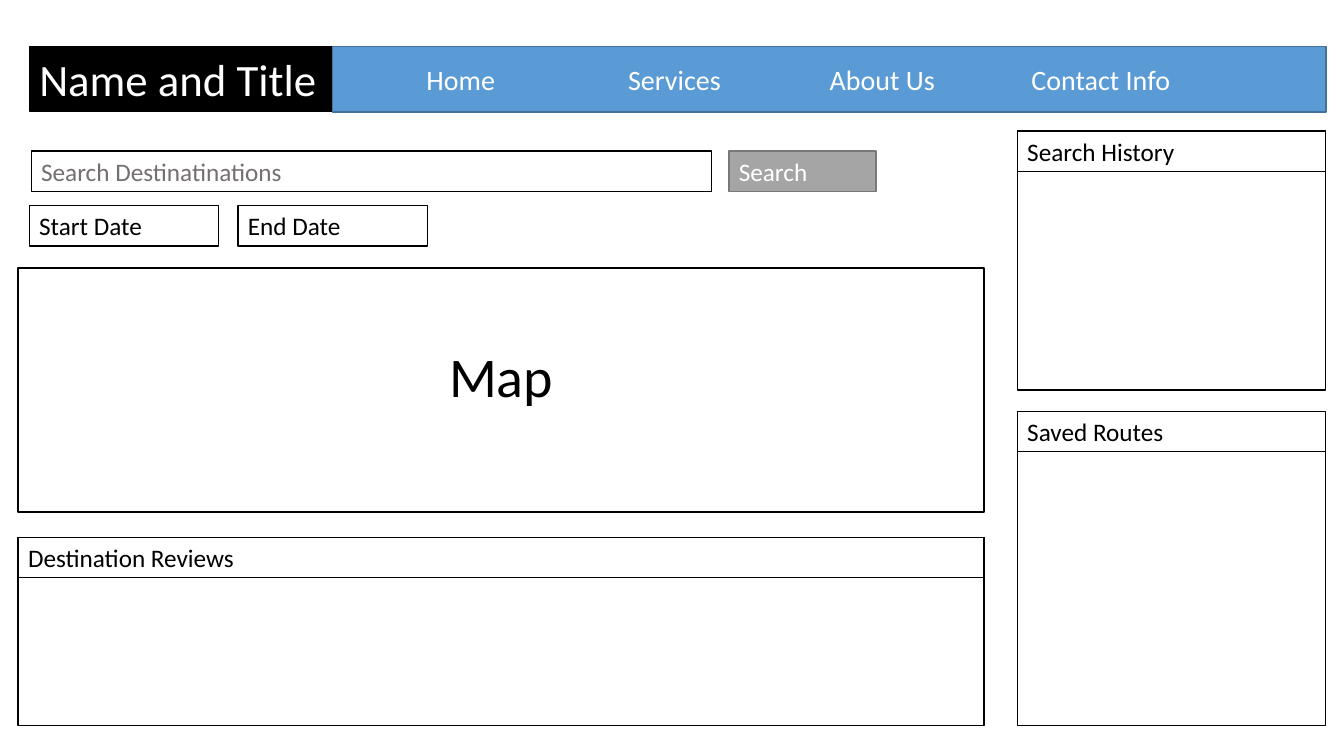
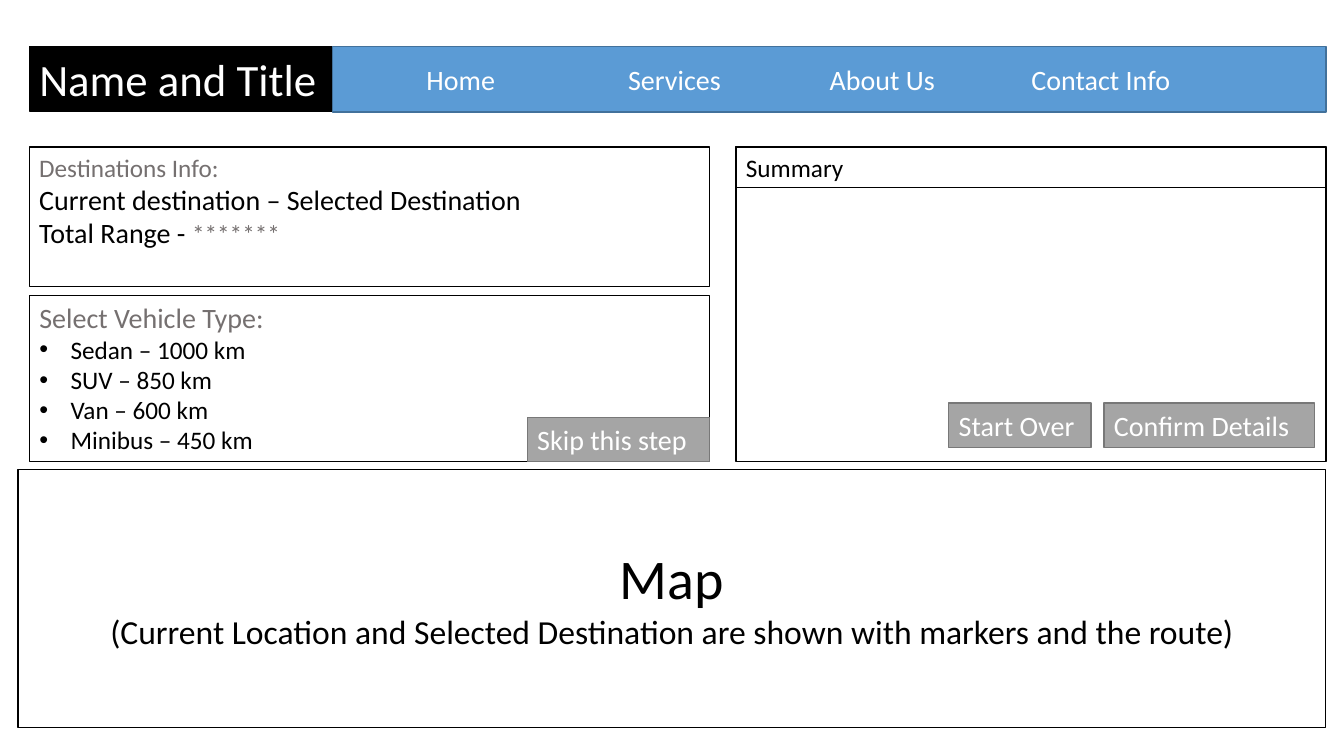
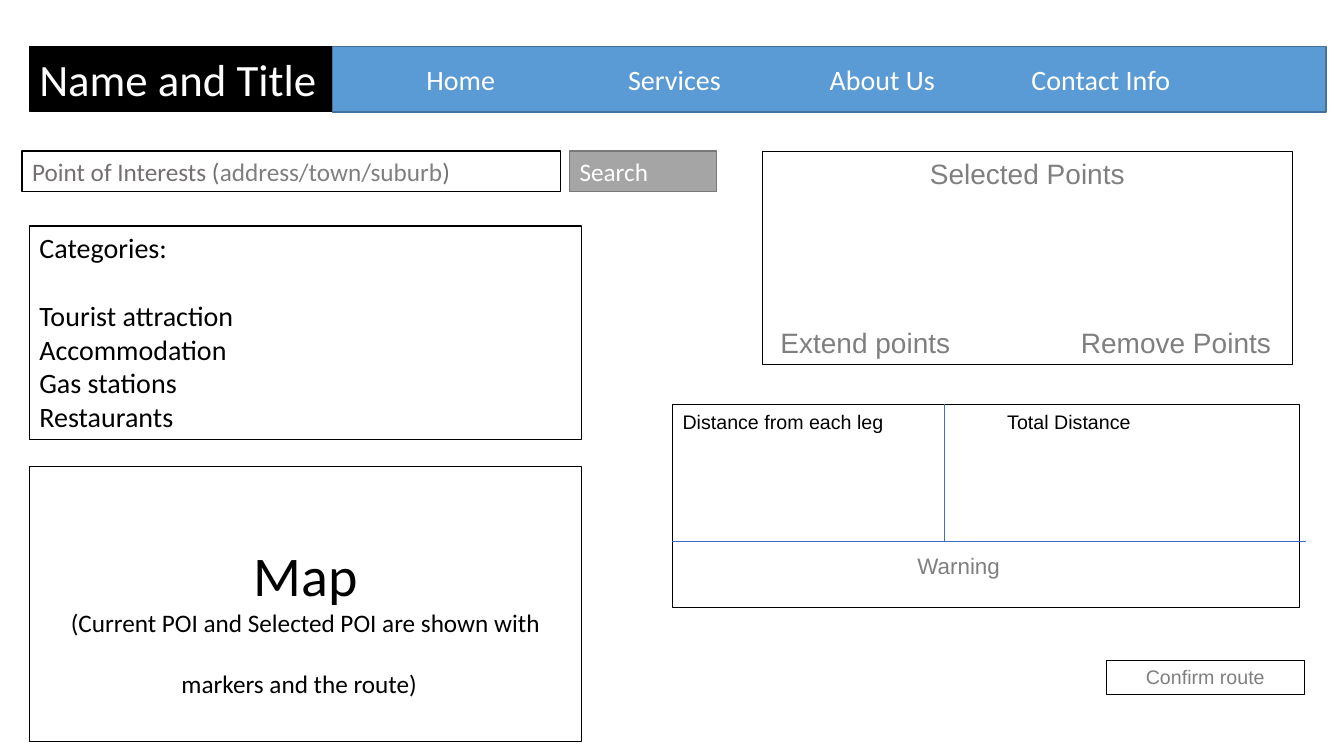
from dataclasses import dataclass

from lxml import etree
from pptx import Presentation
from pptx.dml.color import RGBColor
from pptx.enum.shapes import MSO_CONNECTOR, MSO_SHAPE
from pptx.enum.text import MSO_ANCHOR, MSO_AUTO_SIZE, PP_ALIGN
from pptx.oxml.ns import qn
from pptx.util import Inches, Pt

RECT = MSO_SHAPE.RECTANGLE
STRAIGHT = MSO_CONNECTOR.STRAIGHT
TOP, MIDDLE = MSO_ANCHOR.TOP, MSO_ANCHOR.MIDDLE
LEFT, CENTER = PP_ALIGN.LEFT, PP_ALIGN.CENTER
NO_AUTOFIT = MSO_AUTO_SIZE.NONE
TITLE_AND_BODY, TITLE_ONLY = 1, 5


@dataclass(frozen=True)
class Theme:
    """Colours, fonts, type sizes and line widths of the deck."""
    black: str = "000000"
    white: str = "FFFFFF"
    hint: str = "757070"
    gray: str = "7F7F7F"
    nav: str = "5B9BD5"
    nav_line: str = "42719B"
    button: str = "A5A5A5"
    button_line: str = "787878"
    divider: str = "3E6EC2"
    font: str = "Calibri"
    alt_font: str = "Arial"
    map_size: int = 40
    title: int = 32
    caption: int = 24
    large: int = 20
    body: int = 18
    note: int = 16
    small: int = 14
    line: float = 1
    thin: float = 0.75


T = Theme()


def set_frame(tf, anchor=TOP, side=0.1, top=0.05):
    """Set wrapping, anchor and margins of a text frame."""
    tf.word_wrap = True
    tf.auto_size = NO_AUTOFIT
    tf.vertical_anchor = anchor
    tf.margin_left = tf.margin_right = Inches(side)
    tf.margin_top, tf.margin_bottom = Inches(top), Inches(min(top, 0.05))
    return tf


def style_box(shape, box, fill=T.white, line=T.black, width=T.line, top=0.05):
    """Place and format a box, and return its text frame."""
    shape.left, shape.top, shape.width, shape.height = map(Inches, box)
    shape.shadow.inherit = False
    if fill:
        shape.fill.solid()
        shape.fill.fore_color.rgb = RGBColor.from_string(fill)
    else:
        shape.fill.background()
    shape.line.color.rgb = RGBColor.from_string(line)
    shape.line.width = Pt(width)
    return set_frame(shape.text_frame, top=top)


def add_box(s, box, **fmt):
    """Add a rectangle and return its text frame."""
    return style_box(s.shapes.add_shape(RECT, *map(Inches, box)), box, **fmt)


def add_text(tf, *texts, size=T.body, color=T.black, font=T.font, align=LEFT,
             before=0, bullet=False):
    """Add a paragraph of texts, each a string or (text, size, color)."""
    p = tf.paragraphs[0]
    if p.runs:
        p = tf.add_paragraph()
    p.alignment = align
    p.line_spacing = 1.0
    p.space_before, p.space_after = Pt(before), Pt(0)
    pPr = p._p.get_or_add_pPr()
    hang = Inches(0.31 if bullet else 0)
    pPr.set("marL", str(hang))
    pPr.set("indent", str(-hang))
    if bullet:
        etree.SubElement(pPr, qn("a:buFont"), typeface=T.alt_font)
        etree.SubElement(pPr, qn("a:buChar"), char="•")
    else:
        etree.SubElement(pPr, qn("a:buNone"))
    for item in texts:
        text, r_size, r_color = (item, size, color) if isinstance(item, str) else item
        r = p.add_run()
        r.text = text
        r.font.name, r.font.size = font, Pt(r_size)
        r.font.color.rgb = RGBColor.from_string(r_color)


def add_label(s, box, text, anchor=TOP, **fmt):
    """Add a text box without margins."""
    tb = s.shapes.add_textbox(*map(Inches, box))
    add_text(set_frame(tb.text_frame, anchor, side=0, top=0), text, **fmt)


def add_line(s, x1, y1, x2, y2):
    """Add a thin divider."""
    line = s.shapes.add_connector(STRAIGHT, *map(Inches, (x1, y1, x2, y2)))
    line.line.color.rgb = RGBColor.from_string(T.divider)
    line.line.width = Pt(T.thin)
    etree.SubElement(line._element.spPr, qn("a:effectLst"))


def header(s, box):
    """Site name at the left and navigation band in the rest of the box."""
    x, y, w, h = box
    name_w, step = 3.01, 2
    tf = style_box(s.shapes.title, (x, y, name_w, h - 0.01), fill=T.black)
    add_text(tf, "Name and Title", size=T.title, color=T.white)
    nav_x = x + name_w
    add_box(s, (nav_x, y, w - name_w, h), fill=T.nav, line=T.nav_line)
    for i, item in enumerate(("Home", "Services", "About Us", "Contact Info")):
        add_label(s, (nav_x + 0.93 + i * step, y, step, h), item,
                  anchor=MIDDLE, size=T.large, color=T.white)


def field(s, box, *texts, color=T.black):
    """A one-line labelled box."""
    add_text(add_box(s, box), *texts, color=color)


def button(s, box, text, size=T.large):
    """A gray button."""
    tf = add_box(s, box, fill=T.button, line=T.button_line)
    add_text(tf, text, size=size, color=T.white)


def search_bar(s, box, gap, *texts):
    """An entry field with a search button at the right end."""
    x, y, w, h = box
    button_w = 1.46
    field(s, (x, y, w - gap - button_w, h), *texts, color=T.hint)
    button(s, (x + w - button_w, y, button_w, h), "Search", size=T.body)


def panel(s, box, title):
    """An empty panel with a title strip."""
    x, y, w, h = box
    add_box(s, box)
    field(s, (x, y, w, 0.4), title)


def map_area(s, box, *caption, size=T.caption):
    """A map area with an optional caption."""
    tf = add_box(s, box, top=0.73)
    add_text(tf, "Map", size=T.map_size, align=CENTER)
    if caption:
        add_text(tf, *caption, size=size, align=CENTER)


def vehicle_list(s, box):
    """Vehicle choices with a skip button in the bottom right corner."""
    x, y, w, h = box
    tf = style_box(s.placeholders[1], box)
    add_text(tf, "Select Vehicle Type:", size=T.large, color=T.hint)
    for name, km in (("Sedan", 1000), ("SUV", 850), ("Van", 600), ("Minibus", 450)):
        add_text(tf, f"{name} – {km} km", bullet=True)
    button_w, button_h = 1.81, 0.44
    button(s, (x + w - button_w, y + h - button_h, button_w, button_h),
           "Skip this step")


def destination_info(s, box):
    """Chosen destination and range."""
    tf = add_box(s, box)
    add_text(tf, "Destinations Info:", color=T.hint)
    add_text(tf, "Current destination – Selected Destination", size=T.large)
    add_text(tf, "Total Range - ", ("*******", T.body, T.hint), size=T.large)


def summary(s, box):
    """Summary panel with its two buttons."""
    x, y, w, h = box
    panel(s, box, "Summary")
    button_y = y + h - 0.58
    button(s, (x + 2.11, button_y, 1.41, 0.44), "Start Over")
    button(s, (x + 3.65, button_y, 2.09, 0.44), "Confirm Details")


def categories(s, box):
    """List of point categories."""
    tf = style_box(s.placeholders[1], box)
    add_text(tf, "Categories:", size=T.large)
    names = ("Tourist attraction", "Accommodation", "Gas stations", "Restaurants")
    for i, name in enumerate(names):
        add_text(tf, name, size=T.large, before=0 if i else 24.4)


def selected_points(s, box):
    """Selected points with the two actions below."""
    x, y, w, h = box
    fmt = dict(size=T.large, color=T.gray, font=T.alt_font)
    tf = add_box(s, box, fill=None, width=T.thin)
    add_text(tf, "Selected Points", align=CENTER, **fmt)
    for dx, action in ((0.18, "Extend points"), (3.16, "Remove Points")):
        add_label(s, (x + dx, y + h - 0.39, 2, 0.34), action, **fmt)


def distances(s, box):
    """Leg and total distances over a warning row."""
    x, y, w, h = box
    row_y, split_x = y + 1.36, x + 2.7
    add_box(s, box, fill=None, width=T.thin)
    add_line(s, x, row_y, x + w + 0.06, row_y)
    add_line(s, split_x, y, split_x, row_y)
    add_label(s, (x + 0.1, y + 0.06, 2.5, 0.25), "Distance from each leg",
              size=T.small, font=T.alt_font)
    add_label(s, (split_x + 0.62, y + 0.06, 2, 0.25), "Total Distance",
              size=T.small, font=T.alt_font)
    add_label(s, (x + 2.43, row_y + 0.11, 2, 0.28), "Warning",
              size=T.note, color=T.gray, font=T.alt_font)


def confirm_route(s, box):
    """Outlined confirmation button."""
    tf = add_box(s, box, fill=None, width=T.thin)
    add_text(tf, "Confirm route", size=T.small, color=T.gray,
             font=T.alt_font, align=CENTER)


def new_slide(prs, layout):
    """Add a slide with the shared header."""
    s = prs.slides.add_slide(prs.slide_layouts[layout])
    header(s, (0.29, 0.46, 12.86, 0.65))
    return s


def home_slide(prs):
    """Destination search page."""
    s = new_slide(prs, TITLE_ONLY)
    map_area(s, (0.18, 2.66, 9.58, 2.42))
    search_bar(s, (0.31, 1.5, 8.38, 0.4), 0.17, "Search Destinatinations")
    for i, label in enumerate(("Start Date", "End Date")):
        field(s, (0.29 + i * 2.07, 2.04, 1.88, 0.4), label)
    panel(s, (10.09, 1.3, 3.06, 2.57), "Search History")
    panel(s, (10.09, 4.08, 3.06, 3.12), "Saved Routes")
    panel(s, (0.18, 5.33, 9.58, 1.87), "Destination Reviews")


def vehicle_slide(prs):
    """Vehicle choice page."""
    s = new_slide(prs, TITLE_AND_BODY)
    map_area(s, (0.18, 4.66, 12.97, 2.56),
             "(Current Location and Selected Destination are shown "
             "with markers and the route)")
    destination_info(s, (0.29, 1.46, 6.75, 1.38))
    vehicle_list(s, (0.29, 2.93, 6.75, 1.65))
    summary(s, (7.3, 1.46, 5.85, 3.12))


def points_slide(prs):
    """Points of interest page."""
    s = new_slide(prs, TITLE_AND_BODY)
    map_area(s, (0.29, 4.63, 5.48, 2.73),
             "(Current POI and Selected POI are shown with markers and the route)",
             (" ", T.map_size, T.black), size=T.body)
    search_bar(s, (0.22, 1.5, 6.89, 0.4), 0.09, "Point of Interests (",
               ("address/town/suburb", T.body, T.gray), ")")
    categories(s, (0.29, 2.24, 5.48, 2.12))
    selected_points(s, (7.56, 1.5, 5.26, 2.12))
    distances(s, (6.67, 4.01, 6.22, 2.02))
    confirm_route(s, (10.97, 6.55, 1.97, 0.34))


prs = Presentation()
prs.slide_width, prs.slide_height = Inches(13.33), Inches(7.5)
for build in (home_slide, vehicle_slide, points_slide):
    build(prs)
prs.save("out.pptx")
